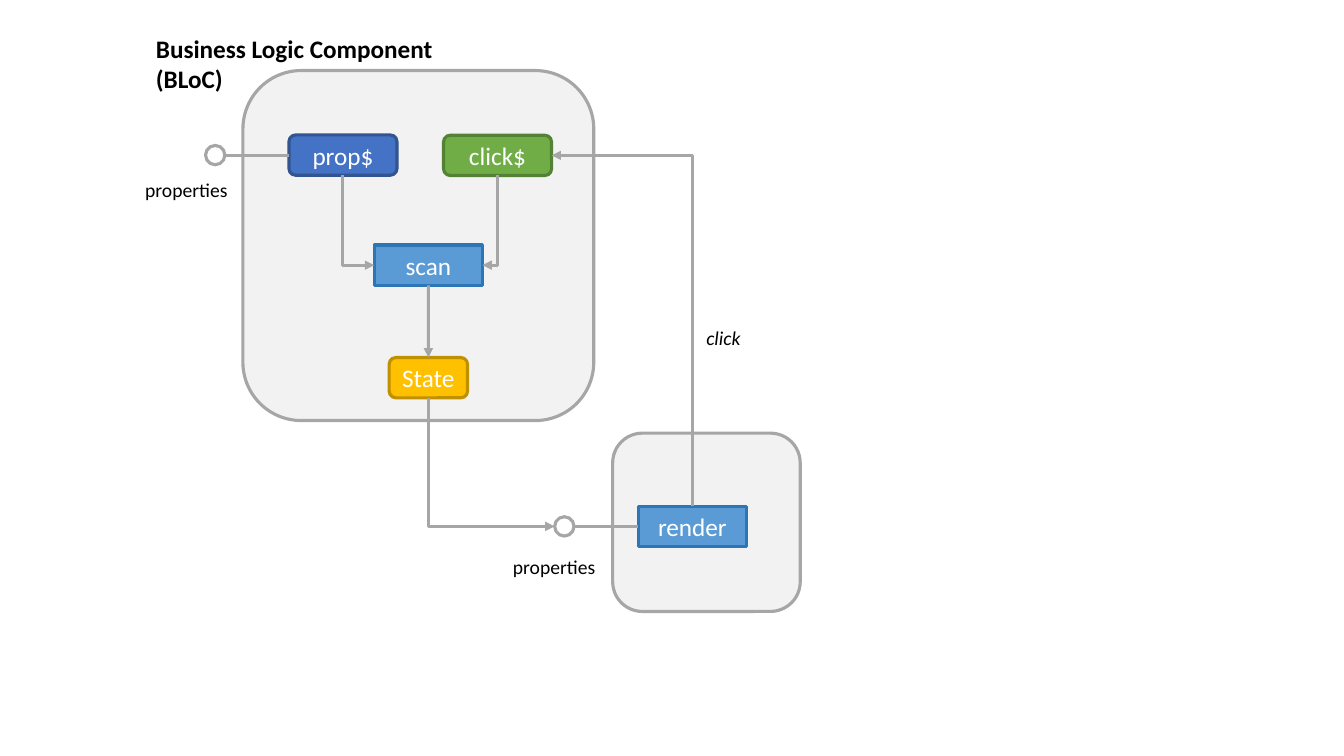
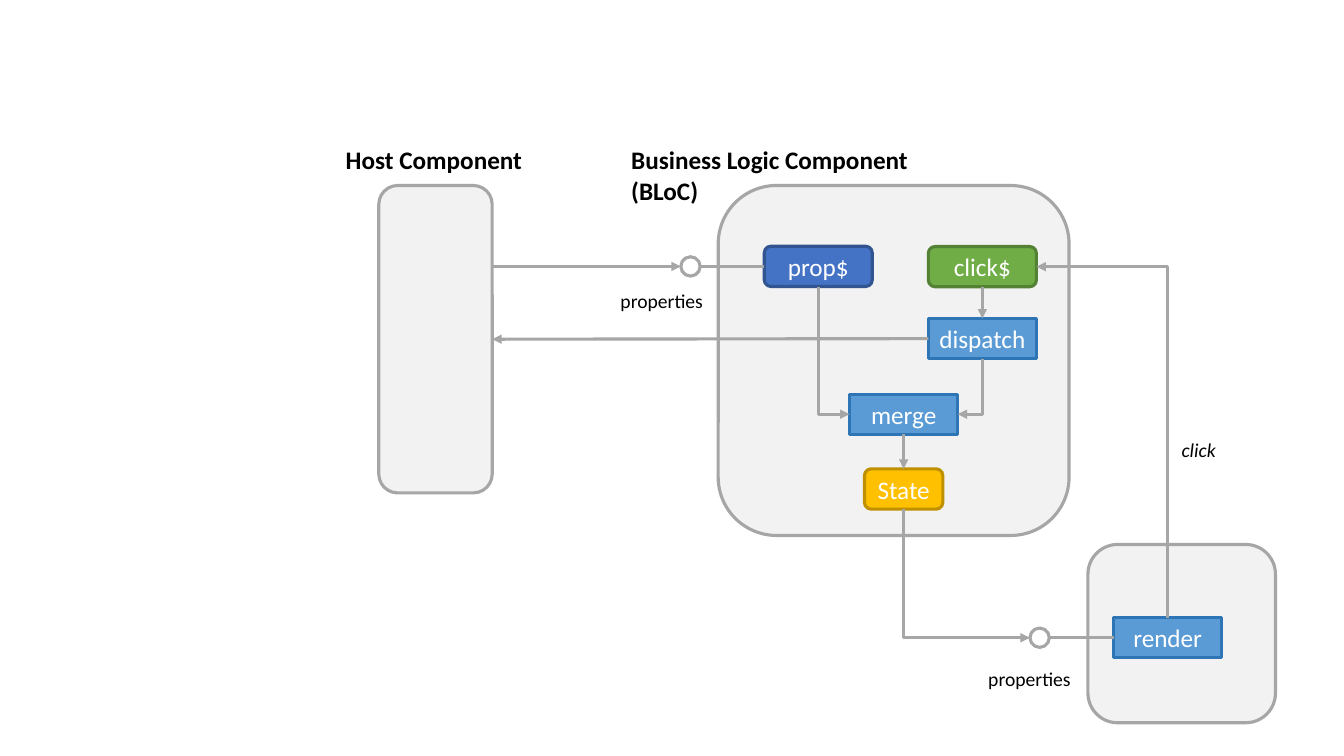
from lxml.etree import SubElement
from pptx import Presentation
from pptx.dml.color import RGBColor
from pptx.enum.shapes import MSO_CONNECTOR as Wire, MSO_SHAPE as Form
from pptx.enum.text import MSO_ANCHOR as Anchor, MSO_AUTO_SIZE as Fit, PP_ALIGN as Align
from pptx.oxml.ns import qn
from pptx.util import Pt

WHITE = RGBColor(0xFF, 0xFF, 0xFF)
BLACK = RGBColor(0, 0, 0)
PALE = RGBColor(0xF2, 0xF2, 0xF2)
GRAY = RGBColor(0xA6, 0xA6, 0xA6)
GOLD = RGBColor(0xFF, 0xC0, 0x00), RGBColor(0xBF, 0x90, 0x00)
GREEN = RGBColor(0x70, 0xAD, 0x47), RGBColor(0x54, 0x82, 0x35)
BLUE = RGBColor(0x44, 0x72, 0xC4), RGBColor(0x32, 0x54, 0x91)
SKY = RGBColor(0x5B, 0x9B, 0xD5), RGBColor(0x2E, 0x75, 0xB6)
FRAME = PALE, GRAY
HOLE = WHITE, GRAY
FONT = "Calibri"
WIDE, HIGH, DOT = 77.2, 28.8, 13.8
# Connection sites, as shares of width and height
TOP, LEFT, FOOT, RIGHT = range(4)
SPOTS = [(0.5, 0), (0, 0.5), (0.5, 1), (1, 0.5)]


def place(page, form, box, tint, word=""):
    """Add a filled, outlined shape with an optional centred word."""
    shape = page.shapes.add_shape(form, *map(Pt, box))
    shape.shadow.inherit = False
    shape.fill.solid()
    shape.fill.fore_color.rgb, shape.line.color.rgb = tint
    shape.line.width = Pt(2.25)
    if word:
        frame = shape.text_frame
        frame.vertical_anchor = Anchor.MIDDLE
        para = frame.paragraphs[0]
        para.alignment = Align.CENTER
        run = para.add_run()
        run.text = word
        run.font.name, run.font.size = FONT, Pt(18)
        run.font.color.rgb = WHITE
    return shape


def link(page, src, out, dst, into, bend=False, arrow=True):
    """Join two shapes; the wire begins at the target and leaves it sideways.

    With out=None it starts on the right edge of src, level with the target.
    """
    ends = []
    for shape, site in ((dst, into), (src, out)):
        if site is None:
            ends += [shape.left + shape.width, ends[1]]
        else:
            across, down = SPOTS[site]
            ends += [int(shape.left + across * shape.width),
                     int(shape.top + down * shape.height)]
    wire = page.shapes.add_connector(Wire.ELBOW if bend else Wire.STRAIGHT, *ends)
    wire.line.color.rgb = GRAY
    wire.line.width = Pt(2.25)
    look = wire.element.spPr
    if bend:
        look.find(qn("a:prstGeom")).set("prst", "bentConnector2")
    if arrow:
        SubElement(look.find(qn("a:ln")), qn("a:headEnd"), type="triangle")
    SubElement(look, qn("a:effectLst"))
    # Glue both ends; an oval has eight sites instead of four
    glue = wire.element.nvCxnSpPr.cNvCxnSpPr
    for tag, shape, site in (("a:stCxn", dst, into), ("a:endCxn", src, out)):
        if site is not None:
            step = 2 if shape.auto_shape_type == Form.OVAL else 1
            SubElement(glue, qn(tag), id=str(shape.shape_id), idx=str(site * step))


deck = Presentation()
deck.slide_width, deck.slide_height = Pt(960), Pt(540)

# Per slide: shift of the diagram, top of its panel, left of click$, operator, host
PAGES = [
    (0, 0, 50.4, 316.8, "scan", 175, False),
    (339.5, 79.5, 53, 323.6, "merge", 202, True),
]

for dx, dy, crown, tap, word, drop, hosted in PAGES:
    page = deck.slides.add_slide(deck.slide_layouts[6])

    # Panels and nodes
    parts = {}
    for name, form, x, y, wide, high, tint, text in [
        ("panel", Form.ROUNDED_RECTANGLE, 173.5, crown, 250.6, 250, FRAME, ""),
        ("card", Form.ROUNDED_RECTANGLE, 437.6, 309.4, 134, 127.4, FRAME, ""),
        ("state", Form.ROUNDED_RECTANGLE, 278, 255.4, 56, HIGH, GOLD, "State"),
        ("click", Form.ROUNDED_RECTANGLE, tap, 96.6, WIDE, HIGH, GREEN, "click$"),
        ("prop", Form.ROUNDED_RECTANGLE, 206.4, 96.4, WIDE, HIGH, BLUE, "prop$"),
        ("join", Form.RECTANGLE, 267.4, drop, WIDE, HIGH, SKY, word),
        ("render", Form.RECTANGLE, 456, 361.6, WIDE, HIGH, SKY, "render"),
        ("inlet", Form.OVAL, 146.8, 103.9, DOT, DOT, HOLE, ""),
        ("port", Form.OVAL, 396.2, 369.1, DOT, DOT, HOLE, ""),
    ]:
        box = x + dx, y + dy, wide, high
        parts[name] = place(page, form, box, tint, text)

    # Host component and dispatch step
    feed = parts["click"]
    if hosted:
        host = place(page, Form.ROUNDED_RECTANGLE, (270.6, 132.5, 81, 219.6), FRAME)
        send = place(page, Form.RECTANGLE, (tap + dx, 227.5, WIDE, HIGH), SKY, "dispatch")
        link(page, host, None, parts["inlet"], LEFT)
        link(page, send, LEFT, host, RIGHT)
        link(page, feed, FOOT, send, TOP)
        feed = send

    # Flow
    link(page, parts["inlet"], RIGHT, parts["prop"], LEFT, arrow=False)
    link(page, parts["port"], RIGHT, parts["render"], LEFT, arrow=False)
    link(page, parts["prop"], FOOT, parts["join"], LEFT, bend=True)
    link(page, feed, FOOT, parts["join"], RIGHT, bend=True)
    link(page, parts["join"], FOOT, parts["state"], TOP)
    link(page, parts["state"], FOOT, parts["port"], LEFT, bend=True)
    link(page, parts["render"], TOP, parts["click"], RIGHT, bend=True)

    # Labels
    labels = [
        (359.3, 393, 74, 24.2, 14, False, False, ["properties"]),
        (96.6, 123.6, 74, 24.2, 14, False, False, ["properties"]),
        (497.4, 229.5, 39.6, 24.2, 14, False, True, ["click"]),
        (104.3, 20.3, 218, 51, 18, True, False, ["Business Logic Component", "(BLoC)"]),
    ]
    if hosted:
        labels.append((-99.6, 20.3, 141, 29, 18, True, False, ["Host Component"]))
    for x, y, wide, high, size, bold, slant, lines in labels:
        box = page.shapes.add_textbox(Pt(x + dx), Pt(y + dy), Pt(wide), Pt(high))
        frame = box.text_frame
        frame.word_wrap = False
        frame.auto_size = Fit.SHAPE_TO_FIT_TEXT
        for row, text in enumerate(lines):
            para = frame.add_paragraph() if row else frame.paragraphs[0]
            run = para.add_run()
            run.text = text
            run.font.name, run.font.size = FONT, Pt(size)
            run.font.bold, run.font.italic = bold, slant
            run.font.color.rgb = BLACK

deck.save("out.pptx")
